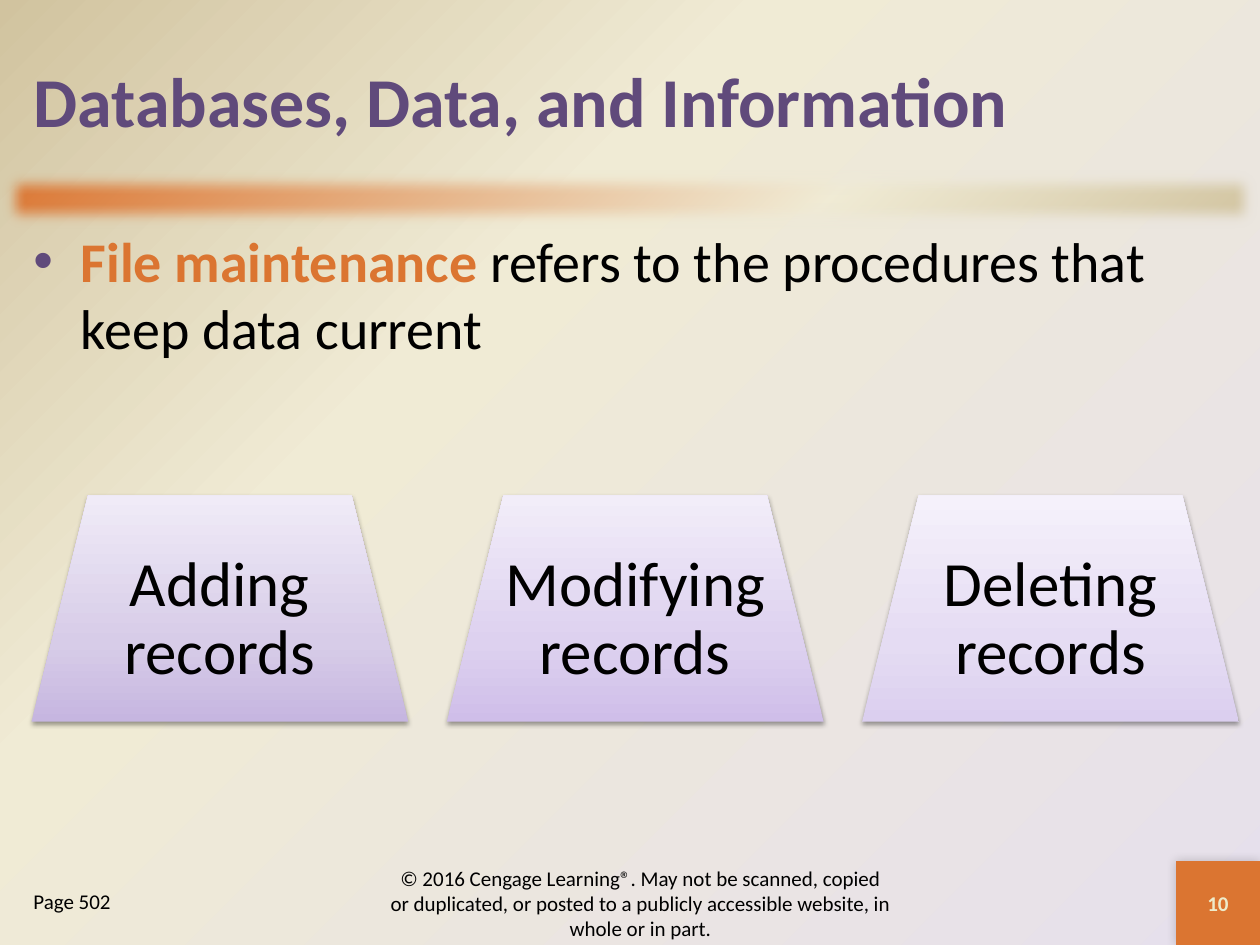
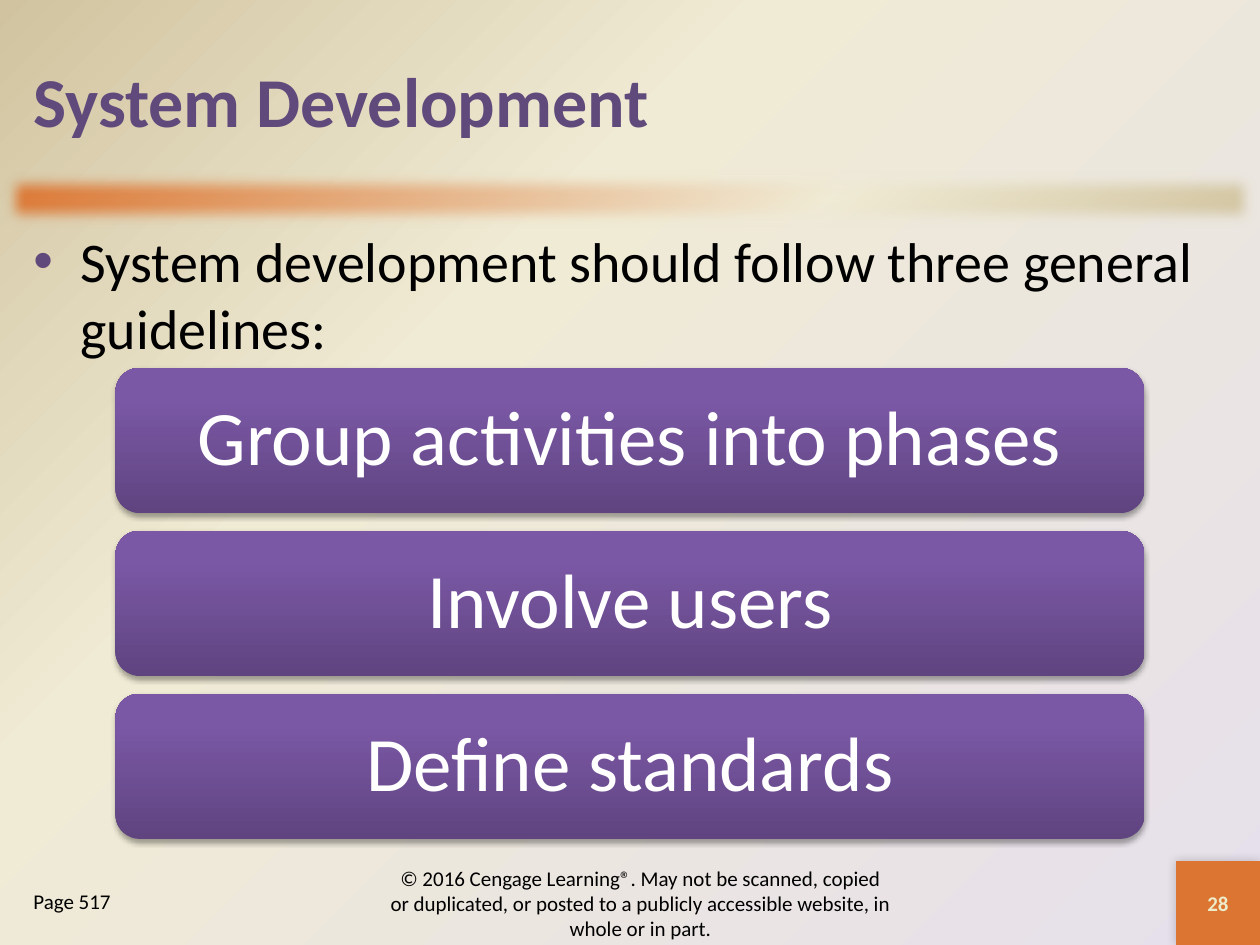
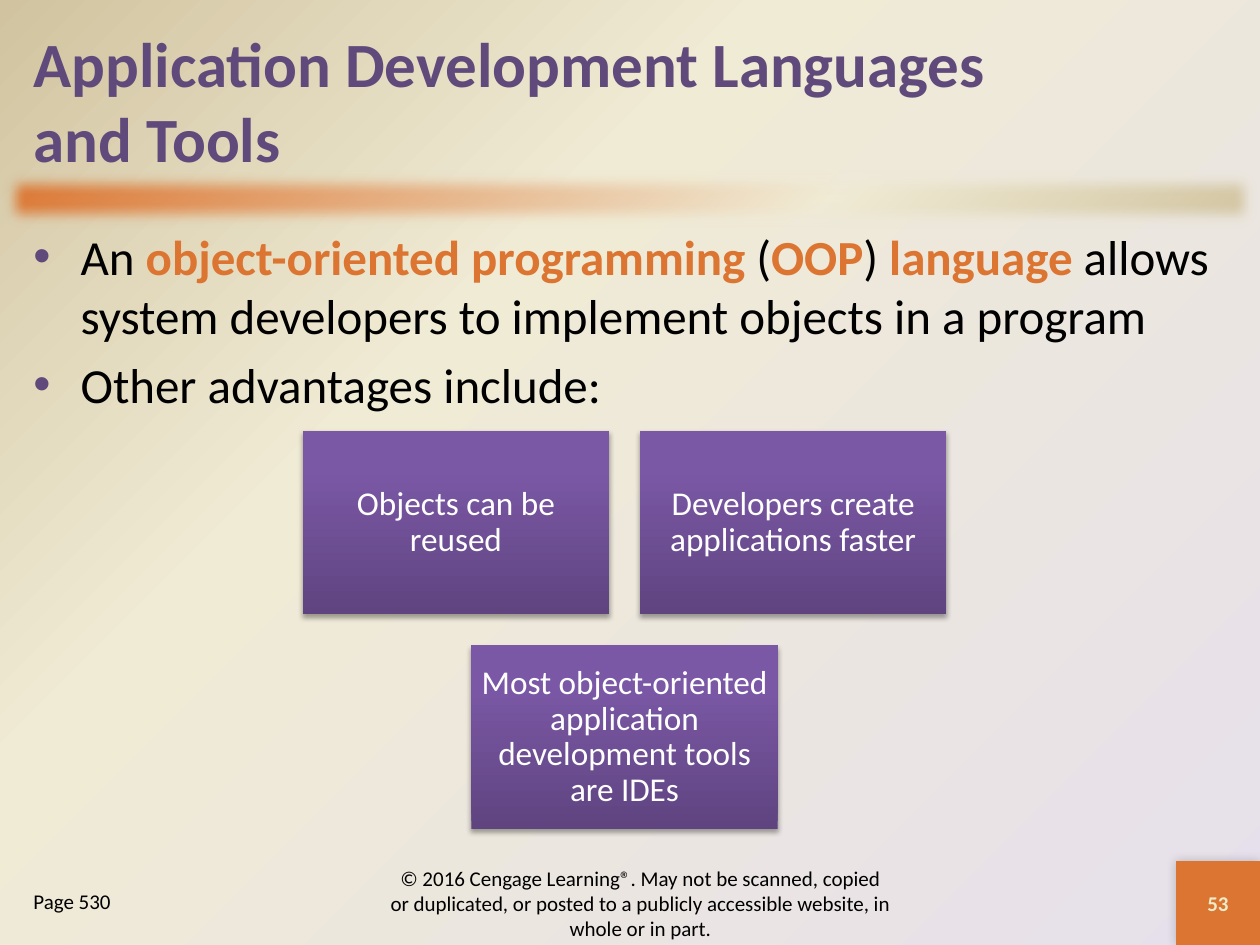
import dataclasses

import pptx
import pptx.dml.color
import pptx.enum.shapes
import pptx.enum.text
import pptx.oxml
import pptx.oxml.ns
import pptx.util

Pt = pptx.util.Pt
RGB = pptx.dml.color.RGBColor.from_string
Shape = pptx.enum.shapes.MSO_SHAPE
Anchor = pptx.enum.text.MSO_ANCHOR
Align = pptx.enum.text.PP_ALIGN
NS = pptx.oxml.ns.nsdecls("a")


@dataclasses.dataclass(frozen=True)
class Theme:
    font: str = "Calibri"
    ink: str = "000000"
    white: str = "FFFFFF"
    title: str = "604A7B"
    accent: str = "DB7531"
    number: str = "EEEBCA"
    small: int = 12
    back: tuple = ((0, "E6E0EC"), (65, "F0EBD5"), (100, "D1C39F"))
    band: tuple = ((0, "DB7531"), (65, "F0EBD5"), (100, "D1C39F"))
    violet: tuple = ((0, "5F4480"), (80, "7B58A6"), (100, "7C57A8"))
    pale: tuple = (
        ((0, "C6B6E0"), (35, "D7CCE8"), (100, "F0EBF7")),
        ((0, "CFBEE9"), (35, "DDD1EF"), (100, "F2EDF9")),
        ((0, "DBCFEF"), (35, "E5DCF3"), (100, "F5F1FB")),
    )


T = Theme()


@dataclasses.dataclass(frozen=True)
class Look:
    """Style of the panels in a grid; shadow is alpha, blur, distance, angle."""
    kind: int
    fills: tuple
    size: int
    inset: float
    color: str = T.white
    shadow: tuple = (35, 3.1, 1.8, 90)


PLINTH = Look(Shape.TRAPEZOID, T.pale, 36, 10.8, T.ink, (38, 3.1, 1.6, 90))
BAR = Look(Shape.ROUNDED_RECTANGLE, (T.violet,), 44, 13)
TILE = Look(Shape.RECTANGLE, (T.violet,), 19, 5)

COPY = ("© 2016 Cengage Learning®. May not be scanned, copied or duplicated, "
        "or posted to a publicly accessible website, in whole or in part.")


def blend(owner, fill, stops, angle=None):
    """Give a shape, or a slide's background, a linear or round gradient."""
    fill.gradient()
    old = owner.element.xpath(".//a:gradFill")[0]
    marks = "".join(f'<a:gs pos="{pos * 1000}"><a:srgbClr val="{color}"/></a:gs>'
                    for pos, color in stops)
    if angle is None:
        way = ('<a:path path="circle">'
               '<a:fillToRect l="100000" t="100000"/></a:path>')
    else:
        way = f'<a:lin ang="{angle * 60000}" scaled="0"/>'
    new = pptx.oxml.parse_xml(
        f'<a:gradFill {NS} rotWithShape="1"><a:gsLst>{marks}</a:gsLst>{way}</a:gradFill>')
    old.getparent().replace(old, new)


def effect(shape, xml):
    shape.element.xpath("./p:spPr/a:effectLst")[0].append(pptx.oxml.parse_xml(xml))


def shade(shape, alpha, blur, dist, angle):
    effect(shape, f'<a:outerShdw {NS} blurRad="{Pt(blur)}" dist="{Pt(dist)}" '
                  f'dir="{angle * 60000}" rotWithShape="0"><a:srgbClr val="000000">'
                  f'<a:alpha val="{alpha * 1000}"/></a:srgbClr></a:outerShdw>')


def block(slide, kind, box):
    """Add a preset shape without line or shadow."""
    shape = slide.shapes.add_shape(kind, *map(Pt, box))
    shape.shadow.inherit = False
    shape.line.fill.background()
    return shape


def style(para, size, color, bold=False, align=Align.LEFT):
    para.alignment = align
    para.font.name = T.font
    para.font.size = Pt(size)
    para.font.bold = bold
    para.font.color.rgb = RGB(color)


def label(shape, text, size, color, bold=False, align=Align.CENTER,
          anchor=Anchor.MIDDLE):
    """Fill a shape with one styled paragraph and return it."""
    frame = shape.text_frame
    frame.word_wrap = True
    frame.vertical_anchor = anchor
    para = frame.paragraphs[0]
    para.text = text
    style(para, size, color, bold, align)
    return para


def textbox(slide, box):
    return slide.shapes.add_textbox(*map(Pt, box))


def base(deck, title, size, page, number):
    """Start a slide with its background, band, title and footer."""
    slide = deck.slides.add_slide(deck.slide_layouts[5])
    blend(slide, slide.background.fill, T.back)
    band = block(slide, Shape.RECTANGLE, (0, 96, 720, 36))
    blend(band, band.fill, T.band, 45)
    effect(band, f'<a:softEdge {NS} rad="{Pt(8.86)}"/>')
    head = slide.shapes.title
    head.left, head.top, head.width, head.height = map(Pt, (12, 12, 696, 90))
    label(head, title, size, T.title, True, Align.LEFT)
    footer(slide, (0, 492, 720, 48), page, number)
    return slide


def footer(slide, box, page, number):
    left, top, width, height = box
    label(textbox(slide, (left + 12, top + 12, 132, 36)), page, T.small, T.ink,
          align=Align.LEFT, anchor=Anchor.TOP)
    label(textbox(slide, (left + 216, top + 6, 300, 36)), COPY, T.small, T.ink)
    corner = block(slide, Shape.RECTANGLE,
                   (left + width - height, top, height, height))
    corner.fill.solid()
    corner.fill.fore_color.rgb = RGB(T.accent)
    shade(corner, 20, 6, 0, 225)
    label(corner, number, T.small, T.number, True)


def bullets(slide, box, items, size):
    """Write a bullet list; words between asterisks are key terms."""
    frame = textbox(slide, box).text_frame
    frame.word_wrap = True
    for i, item in enumerate(items):
        para = frame.add_paragraph() if i else frame.paragraphs[0]
        if i:
            para.space_before = Pt(size * 0.2)
        props = para._p.get_or_add_pPr()
        props.set("marL", str(Pt(27)))
        props.set("indent", str(-Pt(27)))
        for xml in (f'<a:buClr {NS}><a:srgbClr val="{T.title}"/></a:buClr>',
                    f'<a:buFont {NS} typeface="Arial"/>',
                    f'<a:buChar {NS} char="•"/>'):
            props.append(pptx.oxml.parse_xml(xml))
        style(para, size, T.ink)
        for k, part in enumerate(item.split("*")):
            if part:
                run = para.add_run()
                run.text = part
                if k % 2:
                    run.font.bold = True
                    run.font.color.rgb = RGB(T.accent)


def grid(slide, box, rows, gap, look):
    """Spread equal panels over the box, centring the shorter rows."""
    left, top, width, height = box
    cols = max(map(len, rows))
    wide = (width - gap * (cols - 1)) / cols
    high = (height - gap * (len(rows) - 1)) / len(rows)
    for r, row in enumerate(rows):
        start = left + (cols - len(row)) * (wide + gap) / 2
        for c, text in enumerate(row):
            panel = block(slide, look.kind, (start + c * (wide + gap),
                                             top + r * (high + gap), wide, high))
            blend(panel, panel.fill, look.fills[c % len(look.fills)], 270)
            shade(panel, *look.shadow)
            frame = panel.text_frame
            frame.margin_left = frame.margin_right = Pt(look.inset)
            frame.margin_top = frame.margin_bottom = Pt(look.inset)
            label(panel, text, look.size, look.color).line_spacing = 0.9


def main():
    deck = pptx.Presentation()
    deck.slide_width, deck.slide_height = Pt(720), Pt(540)
    body = (12, 126, 696, 366)

    slide = base(deck, "Databases, Data, and Information", 40, "Page 502", "10")
    bullets(slide, body, ["*File maintenance *refers to the procedures that "
                          "keep data current"], 32)
    grid(slide, (18, 283, 690, 129.4),
         [["Adding records", "Modifying records", "Deleting records"]], 22, PLINTH)

    slide = base(deck, "System Development", 40, "Page 517", "28")
    bullets(slide, body,
            ["System development should follow three general guidelines:"], 32)
    grid(slide, (66, 210.2, 588, 269.2),
         [["Group activities into phases"], ["Involve users"], ["Define standards"]],
         10, BAR)

    slide = base(deck, "Application Development Languages\vand Tools", 36,
                 "Page 530", "53")
    bullets(slide, body,
            ["An *object-oriented programming *(*OOP*) *language *allows system "
             "developers to implement objects in a program",
             "Other advantages include:"], 28)
    grid(slide, (173, 246.2, 367.8, 227.6),
         [["Objects can be reused", "Developers create applications faster"],
          ["Most object-oriented application development tools are IDEs"]],
         17.6, TILE)

    deck.save("out.pptx")


if __name__ == "__main__":
    main()
